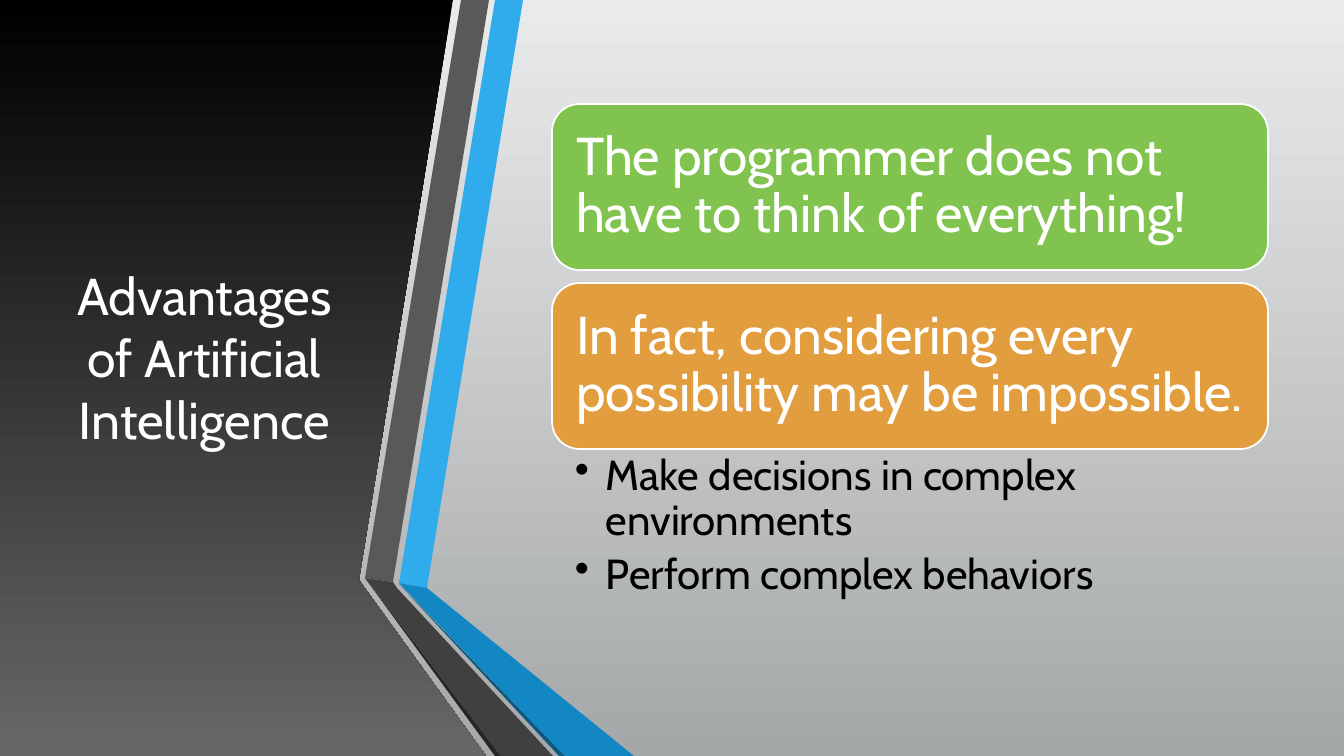
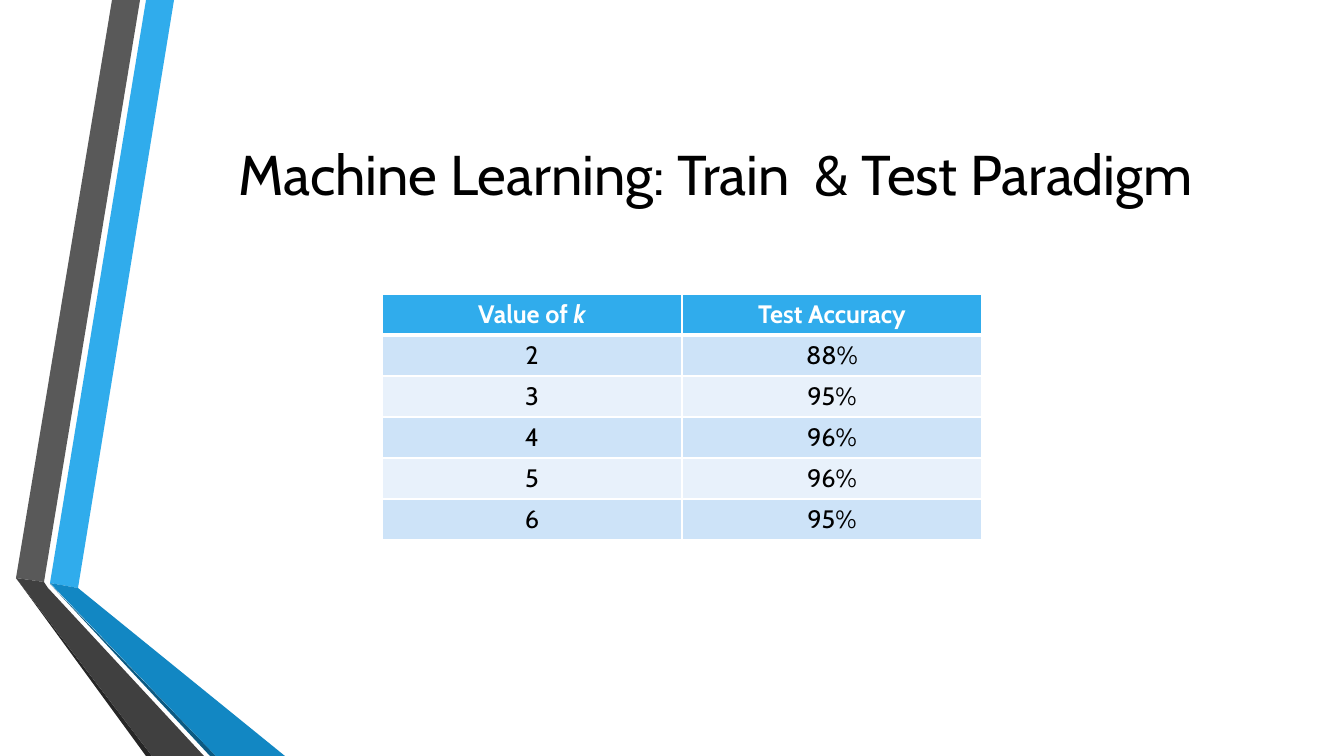
from lxml import etree
from pptx import Presentation
from pptx import util as u
from pptx.dml.color import RGBColor
from pptx.enum import shapes, text
from pptx.oxml import parse_xml
from pptx.oxml.ns import nsdecls, qn

COLORS = {
    "white": "FFFFFF", "black": "000000",
    "blue": "30ACEC", "blue_fold": "1287C3", "blue_edge": "0C5A82",
    "gray": "595959", "gray_fold": "404040", "gray_edge": "262626",
    "page_top": "E9EAEB", "page_bottom": "A5A8A9", "panel_bottom": "676767",
    "green": "80C34F", "orange": "E29D3E",
    "row_dark": "CDE3F8", "row_light": "E8F1FB",
}
FONT = "Cabin"
SCALE = 914400 / 100.8
PAGE_W, PAGE_H = 1344, 756

RIBBONS = [
    ("blue", [(50, 583), (78, 588), (174, 0), (146, 0)]),
    ("gray", [(140, 0), (112, 0), (16, 578), (44, 582)]),
    ("gray_edge", [(16, 578), (146, 756), (152, 756)]),
    ("blue_edge", [(50, 584), (210, 756), (216, 756)]),
    ("blue_fold", [(50, 583), (216, 756), (285, 756), (78, 588)]),
    ("gray_fold", [(204, 756), (48, 588), (44, 582), (16, 578), (152, 756)]),
]
PANEL = [(0, 0), (453, 0), (359, 580), (486, 756), (0, 756)]

ADVANTAGES_TITLE = "Advantages of Artificial Intelligence"
CARDS = [
    ("green", "The programmer does not have to think of everything!"),
    ("orange", "In fact, considering every possibility may be impossible."),
]
BULLETS = ["Make decisions in complex environments", "Perform complex behaviors"]
CARD_X, CARD_Y, CARD_W, CARD_H, CARD_STEP = 552, 104, 716, 166, 179

PARADIGM_TITLE = "Machine Learning: Train  & Test Paradigm"
ACCURACY_HEADER = [[("Value of ", False), ("k", True)], "Test Accuracy"]
ACCURACY = [("2", "88%"), ("3", "95%"), ("4", "96%"), ("5", "96%"), ("6", "95%")]
TABLE_X, TABLE_Y, COLUMN_W, ROW_H = 382, 294, 300, 41


def px(length):
    return u.Emu(round(length * SCALE))


def rgb(name):
    return RGBColor.from_string(COLORS[name])


def solid(fill, color):
    fill.solid()
    fill.fore_color.rgb = rgb(color)


def gradient(fill, top, bottom):
    fill.gradient()
    fill.gradient_angle = 270
    for stop, color in zip(fill.gradient_stops, (top, bottom)):
        stop.color.rgb = rgb(color)


def write(frame, paragraphs, size, color="black", bold=False, align="LEFT",
          anchor="MIDDLE", insets=(10, 5, 10, 5), spacing=None, after=0, indent=0):
    frame.word_wrap = True
    frame.vertical_anchor = text.MSO_ANCHOR[anchor]
    for side, inset in zip(("left", "top", "right", "bottom"), insets):
        setattr(frame, f"margin_{side}", px(inset))
    for index, content in enumerate(paragraphs):
        para = frame.add_paragraph() if index else frame.paragraphs[0]
        para.alignment = text.PP_ALIGN[align]
        para.space_after = u.Pt(after)
        if spacing:
            para.line_spacing = spacing
        if indent:
            props = para._p.get_or_add_pPr()
            props.set("marL", str(px(indent)))
            props.set("indent", str(-px(indent)))
            etree.SubElement(props, qn("a:buChar"), char="•")
        for words, italic in [(content, False)] if isinstance(content, str) else content:
            span = para.add_run()
            span.text = words
            font = span.font
            font.name, font.size = FONT, u.Pt(size)
            font.bold, font.italic = bold, italic
            font.color.rgb = rgb(color)


def add_text(page, area, paragraphs, **style):
    box = page.shapes.add_textbox(*map(px, area))
    write(box.text_frame, paragraphs, **style)


def add_outline(parent, points, offset=0):
    builder = parent.shapes.build_freeform(*points[0], scale=SCALE)
    builder.add_line_segments(points[1:], close=True)
    outline = builder.convert_to_shape(px(offset), 0)
    outline.shadow.inherit = False
    outline.line.fill.background()
    return outline


def add_ribbons(page, offset=0):
    group = page.shapes.add_group_shape()
    for color, points in RIBBONS:
        solid(add_outline(group, points, offset).fill, color)


def add_card(page, top, color, words):
    card = page.shapes.add_shape(shapes.MSO_SHAPE.ROUNDED_RECTANGLE,
                                 *map(px, (CARD_X, top, CARD_W, CARD_H)))
    card.shadow.inherit = False
    solid(card.fill, color)
    card.line.color.rgb = rgb("white")
    card.line.width = u.Pt(1.25)
    write(card.text_frame, [words], size=38, color="white",
          insets=(16, 16, 12, 16), spacing=0.9)


def set_borders(cell, top, bottom):
    props = cell._tc.get_or_add_tcPr()
    for index, (side, width) in enumerate(zip("LRTB", (1, 1, top, bottom))):
        props.insert(index, parse_xml(
            f'<a:ln{side} {nsdecls("a")} w="{u.Pt(width)}"><a:solidFill>'
            f'<a:srgbClr val="{COLORS["white"]}"/></a:solidFill></a:ln{side}>'))


def build_advantages(page):
    gradient(page.background.fill, "page_top", "page_bottom")
    gradient(add_outline(page, PANEL).fill, "black", "panel_bottom")
    add_text(page, (59, 76, 291, 562), [ADVANTAGES_TITLE],
             size=37, color="white", align="CENTER")
    add_ribbons(page, offset=349)
    for index, (color, words) in enumerate(CARDS):
        add_card(page, CARD_Y + index * CARD_STEP, color, words)
    bullets_y = CARD_Y + (len(CARDS) - 1) * CARD_STEP + CARD_H
    add_text(page, (CARD_X, bullets_y, CARD_W, 160), BULLETS, size=30, anchor="TOP",
             insets=(23, 5, 30, 5), spacing=0.9, after=6, indent=31)


def build_paradigm(page):
    solid(page.background.fill, "white")
    add_ribbons(page)
    add_text(page, (163, 76, 1105, 194), [PARADIGM_TITLE], size=40, align="CENTER")
    rows = [ACCURACY_HEADER, *ACCURACY]
    columns = len(ACCURACY_HEADER)
    area = (TABLE_X, TABLE_Y, columns * COLUMN_W, len(rows) * ROW_H)
    table = page.shapes.add_table(len(rows), columns, *map(px, area)).table
    for r, row in enumerate(rows):
        header = r == 0
        fill = "blue" if header else ("row_light", "row_dark")[r % 2]
        for c, content in enumerate(row):
            cell = table.cell(r, c)
            solid(cell.fill, fill)
            set_borders(cell, top=3 if r == 1 else 1, bottom=3 if header else 1)
            write(cell.text_frame, [content], size=18, bold=header, align="CENTER",
                  color="white" if header else "black", anchor="TOP")


def main():
    deck = Presentation()
    deck.slide_width, deck.slide_height = px(PAGE_W), px(PAGE_H)
    for build in (build_advantages, build_paradigm):
        build(deck.slides.add_slide(deck.slide_layouts[6]))
    deck.save("out.pptx")


if __name__ == "__main__":
    main()
